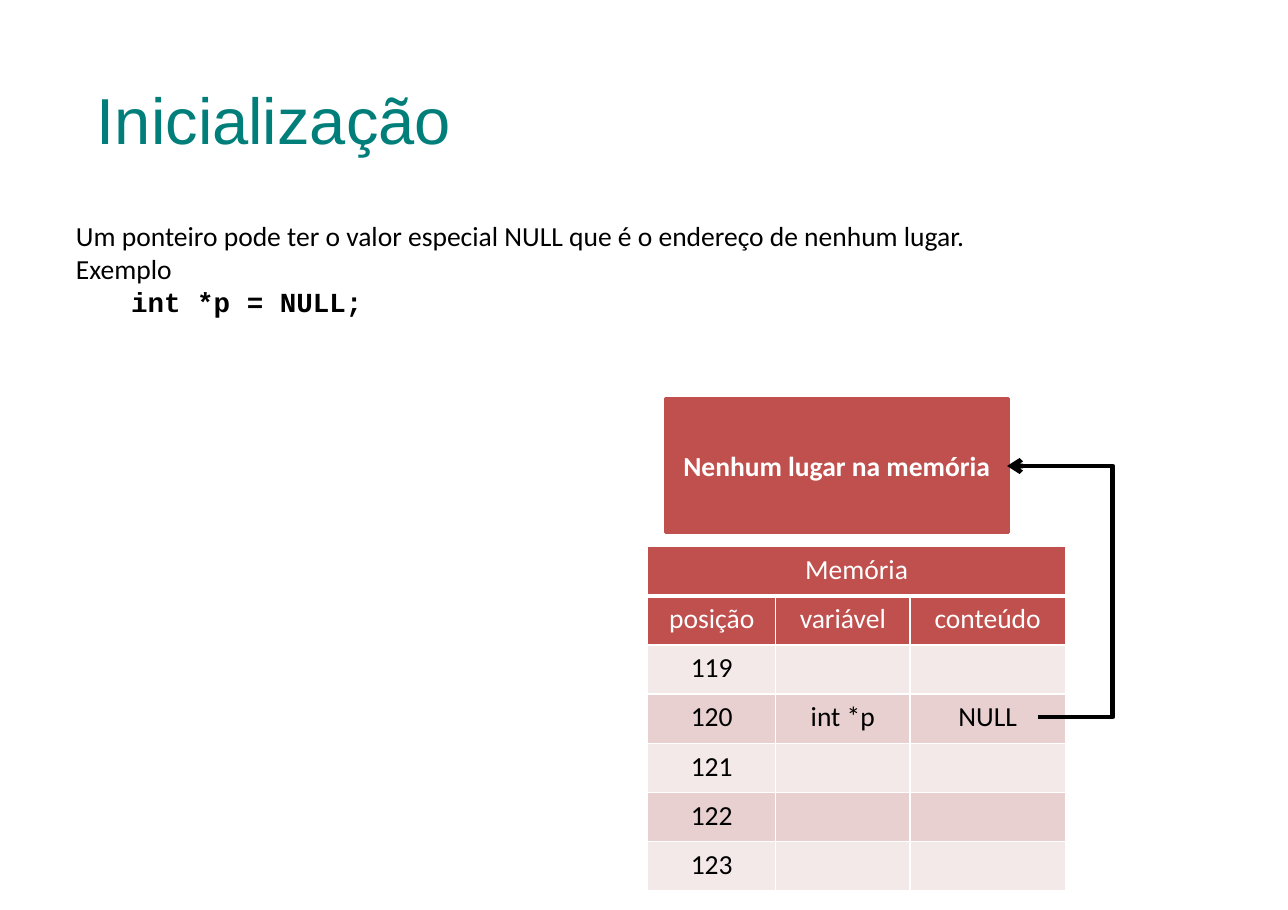
from dataclasses import dataclass

from lxml.etree import SubElement
from pptx import Presentation
from pptx.dml.color import RGBColor as Rgb
from pptx.enum.shapes import MSO_CONNECTOR as Link, MSO_SHAPE as Shape
from pptx.enum.text import MSO_ANCHOR as Anchor, PP_ALIGN as Align
from pptx.oxml.ns import qn
from pptx.util import Inches, Pt

HUES = {"teal": "007F7A", "red": "C0504D", "pale": "F4E9E9",
        "pink": "E8D0D0", "white": "FFFFFF", "black": "000000"}


@dataclass
class Row:
    cells: tuple[str, ...]
    fill: str
    hue: str = "black"


ROWS = [
    Row(("Memória", "", ""), "red", "white"),
    Row(("posição", "variável", "conteúdo"), "red", "white"),
    Row(("119", "", ""), "pale"),
    Row(("120", "int *p", "NULL"), "pink"),
    Row(("121", "", ""), "pale"),
    Row(("122", "", ""), "pink"),
    Row(("123", "", ""), "pale"),
]
COLS = (1.16, 1.22, 1.41)


def color(name: str) -> Rgb:
    return Rgb.from_string(HUES[name])


def write(para, text: str, *, size: float = 18, font: str = "Calibri",
          hue: str = "black", bold: bool = False, align=Align.LEFT) -> None:
    para.alignment = align
    run = para.add_run()
    run.text = text
    run.font.size = Pt(size)
    run.font.name = font
    run.font.bold = bold
    run.font.color.rgb = color(hue)


def inset(item, side: float, top: float) -> None:
    item.margin_left = item.margin_right = Inches(side)
    item.margin_top = item.margin_bottom = Inches(top)


def add_text(slide, left: float, top: float, width: float, height: float,
             side: float = 0, pad: float = 0):
    box = slide.shapes.add_textbox(*map(Inches, (left, top, width, height)))
    frame = box.text_frame
    frame.word_wrap = True
    inset(frame, side, pad)
    return frame


def border(cell, low: float) -> None:
    props = cell._tc.get_or_add_tcPr()
    for spot, (side, width) in enumerate((("L", 1), ("R", 1), ("T", 1), ("B", low))):
        line = SubElement(props, qn(f"a:ln{side}"), w=str(Pt(width)))
        fill = SubElement(line, qn("a:solidFill"))
        SubElement(fill, qn("a:srgbClr"), val=HUES["white"])
        props.insert(spot, line)


def add_grid(slide) -> None:
    high = 3.13
    grid = slide.shapes.add_table(len(ROWS), len(COLS), Inches(5.88), Inches(4.96),
                                  Inches(sum(COLS)), Inches(high)).table
    grid.first_row = grid.horz_banding = False
    for col, width in zip(grid.columns, COLS):
        col.width = Inches(width)
    for r, row in enumerate(ROWS):
        grid.rows[r].height = Inches(high / len(ROWS))
        for c, text in enumerate(row.cells):
            cell = grid.cell(r, c)
            inset(cell, 0.12, 0.06)
            cell.fill.solid()
            cell.fill.fore_color.rgb = color(row.fill)
            border(cell, 1 if r else 3)
            if text:
                write(cell.text_frame.paragraphs[0], text, hue=row.hue,
                      align=Align.CENTER)
    grid.cell(0, 0).merge(grid.cell(0, len(COLS) - 1))


def add_void(slide) -> None:
    box = slide.shapes.add_shape(Shape.RECTANGLE, Inches(6.04), Inches(3.62),
                                 Inches(3.11), Inches(1.21))
    box.shadow.inherit = False
    box.fill.solid()
    box.fill.fore_color.rgb = box.line.color.rgb = color("red")
    box.line.width = Pt(2)
    frame = box.text_frame
    frame.word_wrap = True
    frame.vertical_anchor = Anchor.MIDDLE
    write(frame.paragraphs[0], "Nenhum lugar na memória", hue="white",
          bold=True, align=Align.CENTER)


def add_arrow(slide) -> None:
    start, end, bend = 9.42, 9.14, 10.1
    link = slide.shapes.add_connector(Link.ELBOW, Inches(start), Inches(6.51),
                                      Inches(end), Inches(4.23))
    link.line.color.rgb = color("black")
    link.line.width = Pt(3)
    SubElement(link.line._get_or_add_ln(), qn("a:tailEnd"), type="arrow")
    props = link._element.spPr
    SubElement(props, qn("a:effectLst"))
    # The elbow lies beyond the start, so its share of the width is negative
    share = round((start - bend) / (start - end) * 100000)
    guides = props.find(qn("a:prstGeom")).get_or_add_avLst()
    SubElement(guides, qn("a:gd"), name="adj1", fmla=f"val {share}")


def main() -> None:
    deck = Presentation()
    deck.slide_width, deck.slide_height = Inches(11.69), Inches(8.26)
    slide = deck.slides.add_slide(deck.slide_layouts[6])

    # Title
    title = add_text(slide, 0.88, 0.72, 9.94, 0.65)
    write(title.paragraphs[0], "Inicialização", size=42.5, font="Arial", hue="teal")

    # Explanation and code
    body = add_text(slide, 0.58, 1.93, 9.55, 5.87, 0.11, 0.06)
    write(body.paragraphs[0], "Um ponteiro pode ter o valor especial NULL "
                              "que é o endereço de nenhum lugar.")
    write(body.add_paragraph(), "Exemplo")
    code = body.add_paragraph()
    code.level = 1
    props = code._p.get_or_add_pPr()
    props.set("marL", str(Inches(0.5)))
    props.set("indent", "0")
    write(code, "int *p = NULL;", font="Courier New", bold=True)

    # Memory diagram
    add_grid(slide)
    add_void(slide)
    add_arrow(slide)
    deck.save("out.pptx")


if __name__ == "__main__":
    main()
